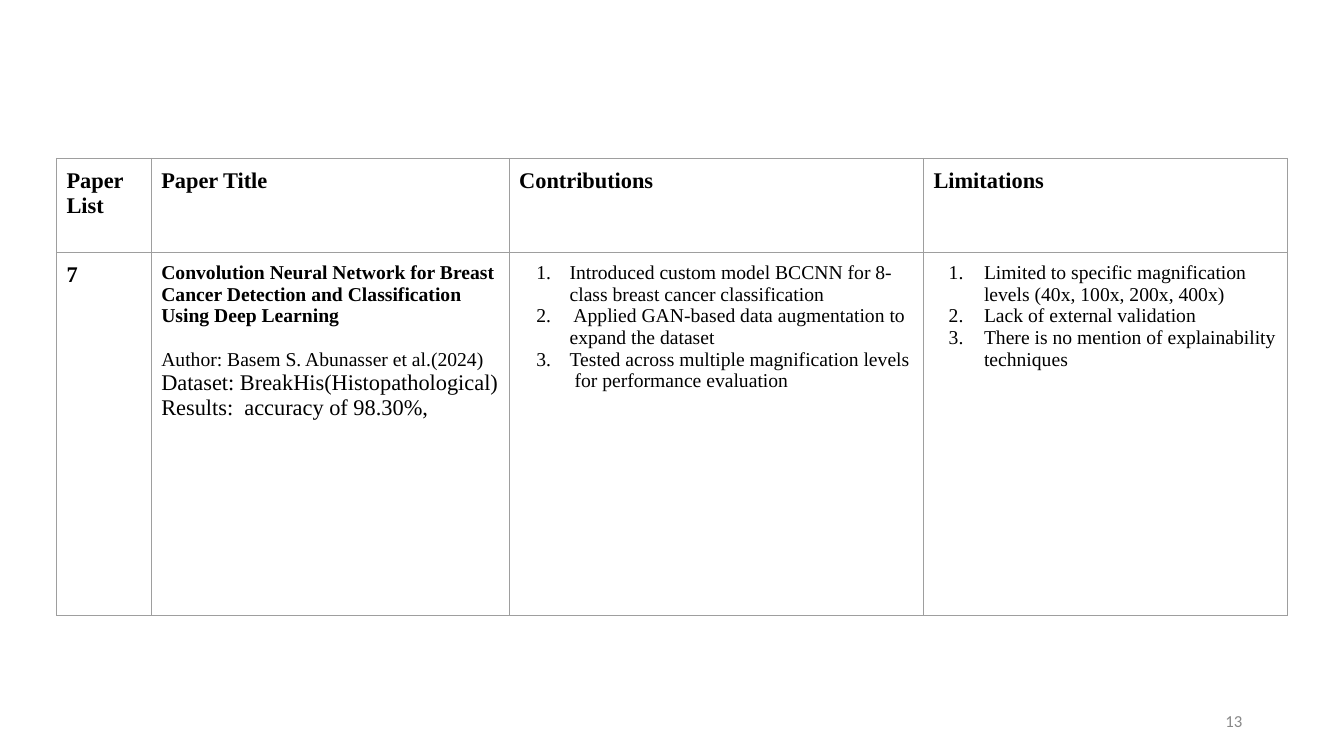
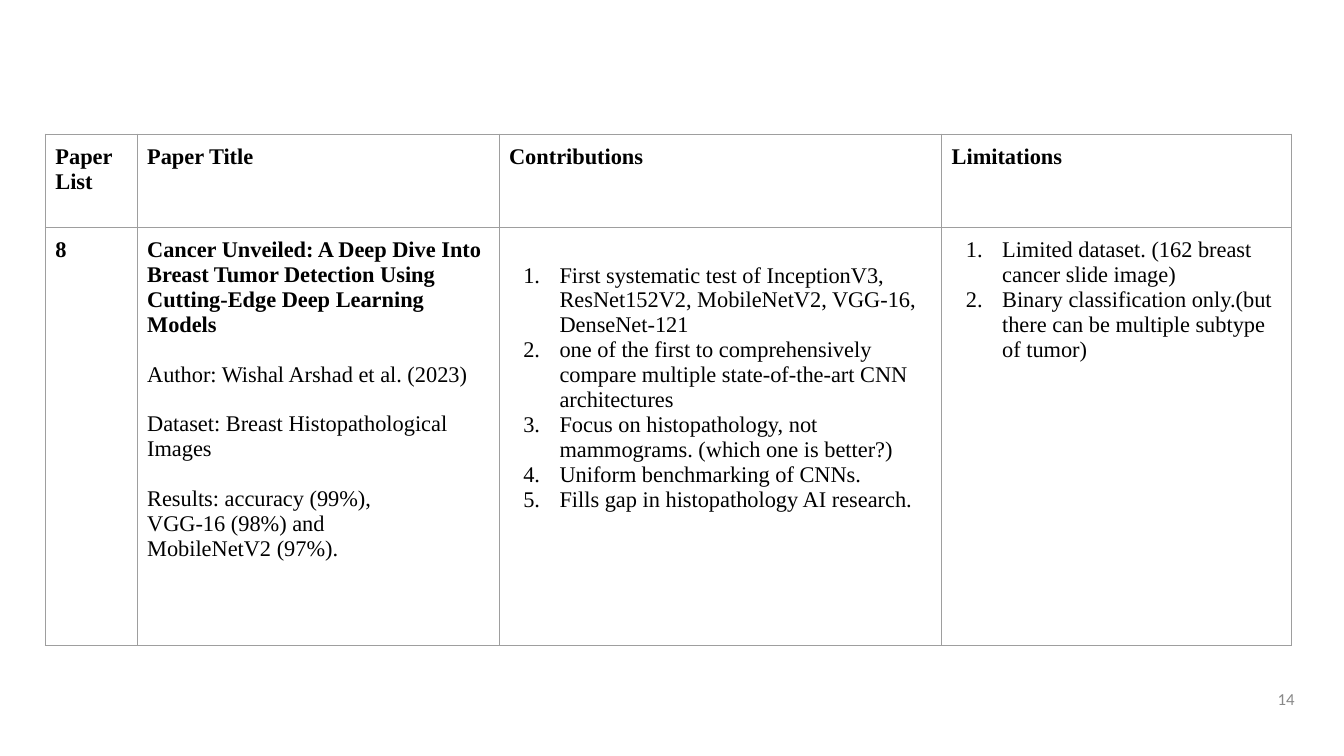
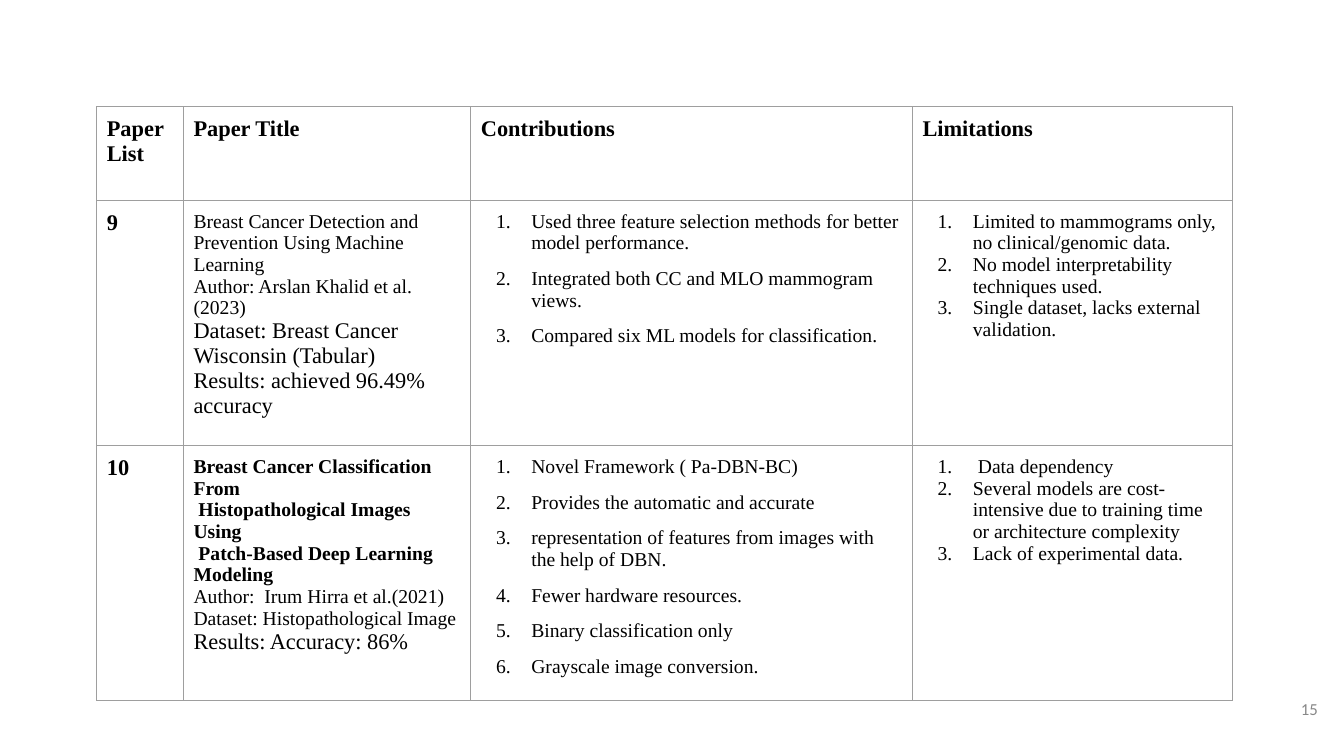
from dataclasses import dataclass

from pptx import Presentation
from pptx.dml.color import RGBColor as RGB
from pptx.enum.text import MSO_ANCHOR, PP_ALIGN
from pptx.oxml import parse_xml
from pptx.oxml.ns import nsdecls
from pptx.util import Inches, Pt


# Theme
@dataclass(frozen=True)
class Theme:
    body_font: str = "Times New Roman"
    number_font: str = "Calibri"
    ink: str = "000000"
    paper: str = "FFFFFF"
    muted: str = "888888"
    rule: str = "9E9E9E"
    rule_width: float = 0.75
    large: int = 16
    small: int = 14
    footer: int = 12
    cell_margin: float = 0.1


TH = Theme()
HEADINGS = ("Paper List", "Paper Title", "Contributions", "Limitations")
HEADER_HEIGHT = 0.93
SMALL_LINE, LARGE_LINE = 15.5, 17.7  # line heights in points


@dataclass(frozen=True)
class Line:
    text: str
    size: int = TH.small
    bold: bool = False
    before: float = 0


@dataclass(frozen=True)
class NumberedList:
    items: tuple[str, ...]
    size: int = TH.small
    hanging: float = 0.35
    gap: float = 0
    top: float = TH.cell_margin

    def lines(self) -> list[Line]:
        return [Line(t, self.size, before=self.gap if i else 0)
                for i, t in enumerate(self.items)]


@dataclass(frozen=True)
class Paper:
    number: int
    summary: tuple[Line, ...]
    contributions: NumberedList
    limitations: NumberedList
    height: float


@dataclass(frozen=True)
class ReviewSlide:
    page: int
    page_at: tuple[float, float]
    table_at: tuple[float, float]
    widths: tuple[float, ...]
    papers: tuple[Paper, ...]


# Content
SLIDES = (
    ReviewSlide(13, (9.42, 6.95), (0.56, 1.57), (0.94, 3.55, 4.11, 3.61), (
        Paper(
            7,
            (Line("Convolution Neural Network for Breast Cancer Detection and "
                  "Classification Using Deep Learning", bold=True),
             Line("Author: Basem S. Abunasser et al.(2024)", before=SMALL_LINE),
             Line("Dataset: BreakHis(Histopathological)", TH.large),
             Line("Results:  accuracy of 98.30%,", TH.large)),
            NumberedList(
                ("Introduced custom model BCCNN for 8-class breast cancer classification",
                 " Applied GAN-based data augmentation to expand the dataset",
                 "Tested across multiple magnification levels  for performance evaluation"),
                hanging=0.33),
            NumberedList(
                ("Limited to specific magnification levels (40x, 100x, 200x, 400x)",
                 "Lack of external validation",
                 "There is no mention of explainability techniques")),
            3.61),
    )),
    ReviewSlide(14, (9.94, 6.73), (0.45, 1.33), (0.91, 3.59, 4.39, 3.47), (
        Paper(
            8,
            (Line("Cancer Unveiled: A Deep Dive Into Breast Tumor Detection Using "
                  "Cutting-Edge Deep Learning Models", TH.large, True),
             Line("Author: Wishal Arshad et al. (2023)", TH.large, before=LARGE_LINE),
             Line("Dataset: Breast Histopathological Images", TH.large, before=LARGE_LINE),
             Line("Results: accuracy (99%),", TH.large, before=LARGE_LINE),
             Line("VGG-16 (98%) and", TH.large),
             Line("MobileNetV2 (97%).", TH.large)),
            NumberedList(
                ("First systematic test of InceptionV3, ResNet152V2, MobileNetV2, "
                 "VGG-16, DenseNet-121",
                 "one of the first to comprehensively compare multiple "
                 "state-of-the-art CNN architectures",
                 "Focus on histopathology, not mammograms. (which one is better?)",
                 "Uniform benchmarking of CNNs.",
                 "Fills gap in histopathology AI research."),
                TH.large, 0.36, top=0.35),
            NumberedList(
                ("Limited dataset. (162 breast cancer slide image)",
                 "Binary classification only.(but there can be multiple subtype of tumor)"),
                TH.large, 0.36),
            4.14),
    )),
    ReviewSlide(15, (10.17, 6.83), (0.96, 1.06), (0.86, 2.85, 4.38, 3.17), (
        Paper(
            9,
            (Line("Breast Cancer Detection and Prevention Using Machine Learning"),
             Line("Author: Arslan Khalid et al.(2023)"),
             Line("Dataset: Breast Cancer Wisconsin (Tabular)", TH.large),
             Line("Results: achieved 96.49% accuracy", TH.large)),
            NumberedList(
                ("Used three feature selection methods for better model performance.",
                 "Integrated both CC and MLO mammogram views.",
                 "Compared six ML models for classification."),
                gap=10),
            NumberedList(
                ("Limited to mammograms only, no clinical/genomic data.",
                 "No model interpretability techniques used.",
                 "Single dataset, lacks external validation.")),
            2.36),
        Paper(
            10,
            (Line("Breast Cancer Classification From", bold=True),
             Line(" Histopathological Images Using", bold=True),
             Line(" Patch-Based Deep Learning Modeling", bold=True),
             Line("Author:  Irum Hirra et al.(2021)"),
             Line("Dataset: Histopathological Image"),
             Line("Results: Accuracy: 86%", TH.large)),
            NumberedList(
                ("Novel Framework ( Pa-DBN-BC)",
                 "Provides the automatic and accurate",
                 "representation of features from images with the help of DBN.",
                 "Fewer hardware resources.",
                 "Binary classification only",
                 "Grayscale image conversion."),
                gap=10),
            NumberedList(
                (" Data dependency",
                 "Several models are cost-intensive due to training time or "
                 "architecture complexity",
                 "Lack of experimental data.")),
            2.4),
    )),
)


# Text helpers
def format_font(font, color: str, **values) -> None:
    for name, value in values.items():
        setattr(font, name, value)
    font.color.rgb = RGB.from_string(color)


def number_paragraph(p, hanging: float) -> None:
    pPr = p._p.get_or_add_pPr()
    pPr.set("marL", str(Inches(0.5)))
    pPr.set("indent", str(-Inches(hanging)))
    for xml in (f'<a:buClr {nsdecls("a")}><a:srgbClr val="{TH.ink}"/></a:buClr>',
                f'<a:buFont {nsdecls("a")} typeface="{TH.body_font}"/>',
                f'<a:buAutoNum {nsdecls("a")} type="arabicPeriod"/>'):
        pPr.append(parse_xml(xml))


def write_lines(tf, lines, hanging: float = 0) -> None:
    for i, line in enumerate(lines):
        p = tf.paragraphs[0] if i == 0 else tf.add_paragraph()
        if hanging:
            number_paragraph(p, hanging)
        if line.before:
            p.space_before = Pt(line.before)
        r = p.add_run()
        r.text = line.text
        format_font(r.font, TH.ink, name=TH.body_font, size=Pt(line.size), bold=line.bold)


# Table
def style_cell(cell, top: float = TH.cell_margin) -> None:
    margins = {"margin_left": TH.cell_margin, "margin_right": TH.cell_margin,
               "margin_top": top, "margin_bottom": TH.cell_margin}
    for name, value in margins.items():
        setattr(cell, name, Inches(value))
    tcPr = cell._tc.get_or_add_tcPr()
    for side in "LRTB":
        tcPr.append(parse_xml(
            f'<a:ln{side} {nsdecls("a")} w="{Pt(TH.rule_width)}"><a:solidFill>'
            f'<a:srgbClr val="{TH.rule}"/></a:solidFill></a:ln{side}>'))
    cell.fill.solid()
    cell.fill.fore_color.rgb = RGB.from_string(TH.paper)


def fill_cell(cell, content) -> None:
    if isinstance(content, NumberedList):
        style_cell(cell, content.top)
        write_lines(cell.text_frame, content.lines(), content.hanging)
    else:
        style_cell(cell)
        write_lines(cell.text_frame, content)


def heading(text: str) -> tuple[Line, ...]:
    return (Line(text, TH.large, True),)


def add_review_table(s, review: ReviewSlide) -> None:
    heights = [HEADER_HEIGHT] + [paper.height for paper in review.papers]
    rows = [[heading(text) for text in HEADINGS]]
    rows += [[heading(str(paper.number)), paper.summary, paper.contributions,
              paper.limitations] for paper in review.papers]
    left, top = review.table_at
    table = s.shapes.add_table(len(rows), len(HEADINGS), Inches(left), Inches(top),
                               Inches(sum(review.widths)), Inches(sum(heights))).table
    table.first_row = table.horz_banding = False
    for column, width in zip(table.columns, review.widths):
        column.width = Inches(width)
    for row, height, contents in zip(table.rows, heights, rows):
        row.height = Inches(height)
        for cell, content in zip(row.cells, contents):
            fill_cell(cell, content)


# Page number
def add_page_number(s, review: ReviewSlide) -> None:
    left, top = review.page_at
    tf = s.shapes.add_textbox(Inches(left), Inches(top), Inches(3), Inches(0.4)).text_frame
    tf.word_wrap = True
    tf.vertical_anchor = MSO_ANCHOR.MIDDLE
    p = tf.paragraphs[0]
    p.alignment = PP_ALIGN.RIGHT
    r = p.add_run()
    r.text = str(review.page)
    format_font(r.font, TH.muted, name=TH.number_font, size=Pt(TH.footer))


def main() -> None:
    prs = Presentation()
    prs.slide_width, prs.slide_height = Inches(13.33), Inches(7.5)
    for review in SLIDES:
        s = prs.slides.add_slide(prs.slide_layouts[6])
        add_page_number(s, review)
        add_review_table(s, review)
    prs.save("out.pptx")


if __name__ == "__main__":
    main()
